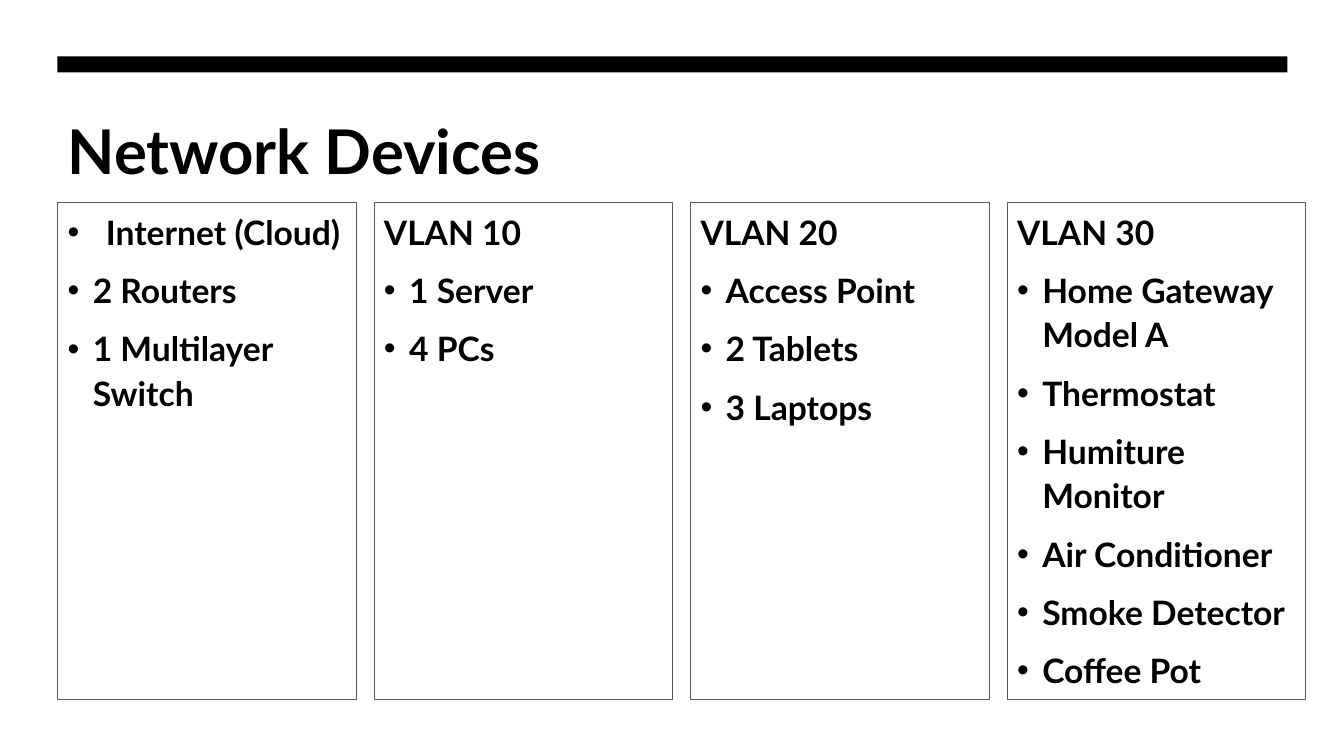
import dataclasses

import lxml.etree
import pptx
import pptx.dml.color
import pptx.enum.shapes
import pptx.enum.text
import pptx.oxml.ns
import pptx.util
from pptx.util import Inches


@dataclasses.dataclass(frozen=True)
class Theme:
    font: str = "Lato"
    ink: str = "000000"
    outline: str = "595959"
    background: str = "FFFFFF"
    title_size: int = 44
    list_size: int = 24


THEME = Theme()
LEFT = 0.57
CONTENT_WIDTH = 12.2
COLUMN_TOP = 2.01
COLUMN_WIDTH = 2.96
COLUMN_HEIGHT = 4.93
COLUMN_PITCH = 3.14
BULLET_INDENT = 0.25
CLOUD_INDENT = 0.38

COLUMNS = [
    (None, ["Internet (Cloud)", "2 Routers", "1 Multilayer Switch"]),
    ("VLAN 10", ["1 Server", "4 PCs"]),
    ("VLAN 20", ["Access Point", "2 Tablets", "3 Laptops"]),
    ("VLAN 30", ["Home Gateway Model A", "Thermostat", "Humiture Monitor",
                 "Air Conditioner", "Smoke Detector", "Coffee Pot"]),
]


def color(value):
    return pptx.dml.color.RGBColor.from_string(value)


def place(shape, left, top, width, height):
    shape.left, shape.top = Inches(left), Inches(top)
    shape.width, shape.height = Inches(width), Inches(height)


def prepare_frame(shape):
    frame = shape.text_frame
    frame.word_wrap = True
    frame.auto_size = pptx.enum.text.MSO_AUTO_SIZE.NONE
    frame.vertical_anchor = pptx.enum.text.MSO_ANCHOR.TOP
    return frame


def write_text(paragraph, text, size, line_spacing=1.0, space_before=0, indent=0):
    paragraph.alignment = pptx.enum.text.PP_ALIGN.LEFT
    paragraph.line_spacing = line_spacing
    paragraph.space_before = pptx.util.Pt(space_before)
    paragraph.space_after = pptx.util.Pt(0)
    run = paragraph.add_run()
    run.text = text
    run.font.name = THEME.font
    run.font.size = pptx.util.Pt(size)
    run.font.bold = True
    run.font.color.rgb = color(THEME.ink)
    set_bullet(paragraph, indent)


def set_bullet(paragraph, indent):
    properties = paragraph._p.get_or_add_pPr()
    properties.set("marL", str(Inches(indent)))
    properties.set("indent", str(-Inches(indent)))
    qn = pptx.oxml.ns.qn
    if indent:
        lxml.etree.SubElement(properties, qn("a:buFont")).set("typeface", "Arial")
        lxml.etree.SubElement(properties, qn("a:buChar")).set("char", "•")
    else:
        lxml.etree.SubElement(properties, qn("a:buNone"))


def add_bar(slide):
    bar = slide.shapes.add_shape(
        pptx.enum.shapes.MSO_SHAPE.RECTANGLE,
        Inches(LEFT), Inches(0.56), Inches(CONTENT_WIDTH), Inches(0.16))
    bar.shadow.inherit = False
    bar.fill.solid()
    bar.fill.fore_color.rgb = color(THEME.ink)
    bar.line.fill.background()


def fill_title(title, text):
    place(title, LEFT, 1.07, CONTENT_WIDTH, 1.6)
    write_text(prepare_frame(title).paragraphs[0], text, THEME.title_size)


def fill_column(shape, position, heading, devices):
    place(shape, LEFT + position * COLUMN_PITCH, COLUMN_TOP, COLUMN_WIDTH, COLUMN_HEIGHT)
    shape.fill.background()
    shape.line.color.rgb = color(THEME.outline)
    shape.line.width = pptx.util.Pt(0.5)
    frame = prepare_frame(shape)
    entries = [(device, BULLET_INDENT) for device in devices]
    if heading:
        entries.insert(0, (heading, 0))
    else:
        entries[0] = (devices[0], CLOUD_INDENT)
    for index, (text, indent) in enumerate(entries):
        paragraph = frame.add_paragraph() if index else frame.paragraphs[0]
        write_text(paragraph, text, THEME.list_size,
                   line_spacing=1.1, space_before=10, indent=indent)


def main():
    presentation = pptx.Presentation()
    presentation.slide_width = Inches(13.33)
    presentation.slide_height = Inches(7.5)
    slide = presentation.slides.add_slide(presentation.slide_layouts[1])
    slide.background.fill.solid()
    slide.background.fill.fore_color.rgb = color(THEME.background)
    add_bar(slide)
    fill_title(slide.shapes.title, "Network Devices")
    for position, (heading, devices) in enumerate(COLUMNS):
        if position == 0:
            shape = slide.placeholders[1]
        else:
            shape = slide.shapes.add_textbox(0, 0, 0, 0)
        fill_column(shape, position, heading, devices)
    presentation.save("out.pptx")


if __name__ == "__main__":
    main()
